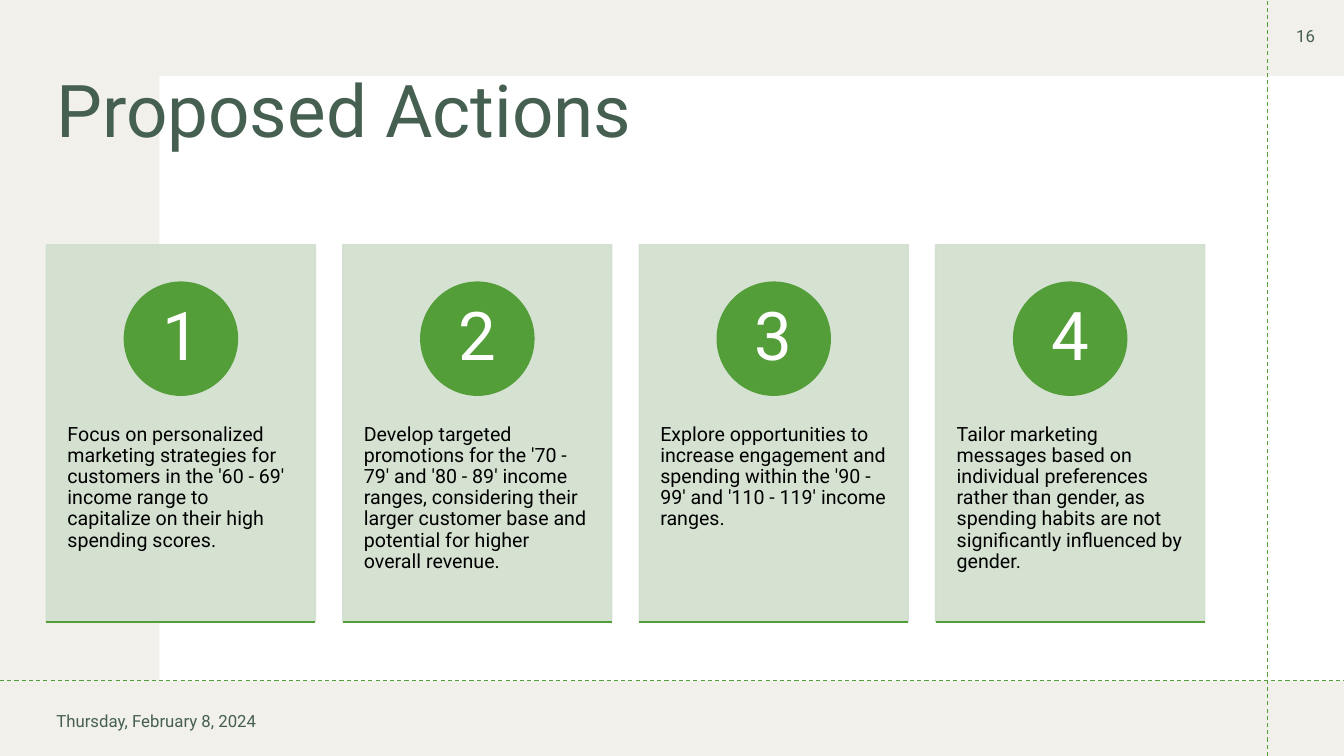
from lxml import etree
from pptx import Presentation
from pptx.dml.color import RGBColor
from pptx.enum.dml import MSO_LINE
from pptx.enum.shapes import MSO_CONNECTOR, MSO_SHAPE
from pptx.enum.text import MSO_ANCHOR, PP_ALIGN
from pptx.oxml.ns import qn
from pptx.util import Cm, Pt

RECT, OVAL = MSO_SHAPE.RECTANGLE, MSO_SHAPE.OVAL
STRAIGHT = MSO_CONNECTOR.STRAIGHT
DASH = MSO_LINE.DASH
TOP, MIDDLE = MSO_ANCHOR.TOP, MSO_ANCHOR.MIDDLE
LEFT, CENTER = PP_ALIGN.LEFT, PP_ALIGN.CENTER

FONT = "Roboto"
COLORS = {
    "sand": "E3DED1",
    "white": "FFFFFF",
    "green": "549E39",
    "card": "D1DFCE",
    "heading": "455F51",
    "body": "000000",
}

SLIDE_W, SLIDE_H = 33.87, 19.05
MARGIN = 1.17
CARD_TOP, CARD_W, CARD_H, CARD_PITCH = 6.17, 6.78, 9.5, 7.47
CIRCLE_TOP, CIRCLE_D, NUMBER_D = 7.11, 2.85, 2.0

ACTIONS = [
    "Focus on personalized marketing strategies for customers in the "
    "'60 - 69' income range to capitalize on their high spending scores.",
    "Develop targeted promotions for the '70 - 79' and '80 - 89' income "
    "ranges, considering their larger customer base and potential for "
    "higher overall revenue.",
    "Explore opportunities to increase engagement and spending within the "
    "'90 - 99' and '110 - 119' income ranges.",
    "Tailor marketing messages based on individual preferences rather than "
    "gender, as spending habits are not significantly influenced by gender.",
]


def rgb(name):
    return RGBColor.from_string(COLORS[name])


def set_alpha(fill_parent, percent):
    """Make the solid fill directly under fill_parent partly transparent."""
    color = fill_parent.find(qn("a:solidFill"))[0]
    etree.SubElement(color, qn("a:alpha")).set("val", str(percent * 1000))


def add_block(shapes, kind, x, y, w, h, color, alpha=None, outlined=False):
    sp = shapes.add_shape(kind, Cm(x), Cm(y), Cm(w), Cm(h))
    sp.shadow.inherit = False
    sp.fill.solid()
    sp.fill.fore_color.rgb = rgb(color)
    if outlined:
        sp.line.color.rgb = rgb(color)
        sp.line.width = Pt(1)
    else:
        sp.line.fill.background()
    if alpha:
        sp_pr = sp._element.spPr
        set_alpha(sp_pr, alpha)
        if outlined:
            set_alpha(sp_pr.find(qn("a:ln")), alpha)


def add_rule(shapes, x1, y1, x2, y2, width, dash=None):
    line = shapes.add_connector(STRAIGHT, Cm(x1), Cm(y1), Cm(x2), Cm(y2))
    line.line.color.rgb = rgb("green")
    line.line.width = Pt(width)
    if dash:
        line.line.dash_style = dash
    etree.SubElement(line._element.spPr, qn("a:effectLst"))


def add_text(shapes, text, x, y, w, h, size, color, align=LEFT,
             anchor=MIDDLE, inset=(0.25, 0.13), spacing=1.0):
    """Add a text box; inset is (horizontal, vertical) in centimetres."""
    tf = shapes.add_textbox(Cm(x), Cm(y), Cm(w), Cm(h)).text_frame
    tf.word_wrap = True
    tf.vertical_anchor = anchor
    tf.margin_left = tf.margin_right = Cm(inset[0])
    tf.margin_top = tf.margin_bottom = Cm(inset[1])
    p = tf.paragraphs[0]
    p.text = text
    p.alignment = align
    p.line_spacing = spacing
    font = p.runs[0].font
    font.name = FONT
    font.size = Pt(size)
    font.color.rgb = rgb(color)


def add_background(shapes):
    add_block(shapes, RECT, 0, 0, SLIDE_W, SLIDE_H, "sand", alpha=45)
    add_block(shapes, RECT, 4.02, 1.91, SLIDE_W - 4.02, 15.24, "white")
    add_rule(shapes, 31.93, SLIDE_H, 31.93, 0, 0.75, DASH)
    add_rule(shapes, 0, 17.15, SLIDE_W, 17.15, 0.75, DASH)


def add_card(shapes, number, x, text):
    card = shapes.add_group_shape().shapes
    center = x + CARD_W / 2
    bottom = CARD_TOP + CARD_H
    add_block(card, RECT, x, CARD_TOP, CARD_W, CARD_H, "card", 90, True)
    add_text(card, text, x, 9.78, CARD_W, 5.72, 14, "body",
             anchor=TOP, inset=(0.53, 0.91), spacing=0.9)
    add_block(card, OVAL, center - CIRCLE_D / 2, CIRCLE_TOP,
              CIRCLE_D, CIRCLE_D, "green", outlined=True)
    add_text(card, str(number), center - NUMBER_D / 2,
             CIRCLE_TOP + (CIRCLE_D - NUMBER_D) / 2, NUMBER_D, NUMBER_D,
             48, "white", CENTER, inset=(0.23, 0.03), spacing=0.9)
    add_rule(card, x, bottom, x + CARD_W, bottom, 1)


def main():
    prs = Presentation()
    prs.slide_width, prs.slide_height = Cm(SLIDE_W), Cm(SLIDE_H)
    shapes = prs.slides.add_slide(prs.slide_layouts[6]).shapes
    add_background(shapes)
    add_text(shapes, "Proposed Actions", MARGIN, 1.02, 29.21, 3.68,
             52, "heading", spacing=0.9)
    for i, action in enumerate(ACTIONS):
        add_card(shapes, i + 1, MARGIN + i * CARD_PITCH, action)
    add_text(shapes, "Thursday, February 8, 2024", MARGIN, 17.27, 7.62, 1.78,
             12, "heading")
    add_text(shapes, "16", 31.95, -0.05, 1.91, 1.91, 12, "heading", CENTER)
    prs.save("out.pptx")


if __name__ == "__main__":
    main()
